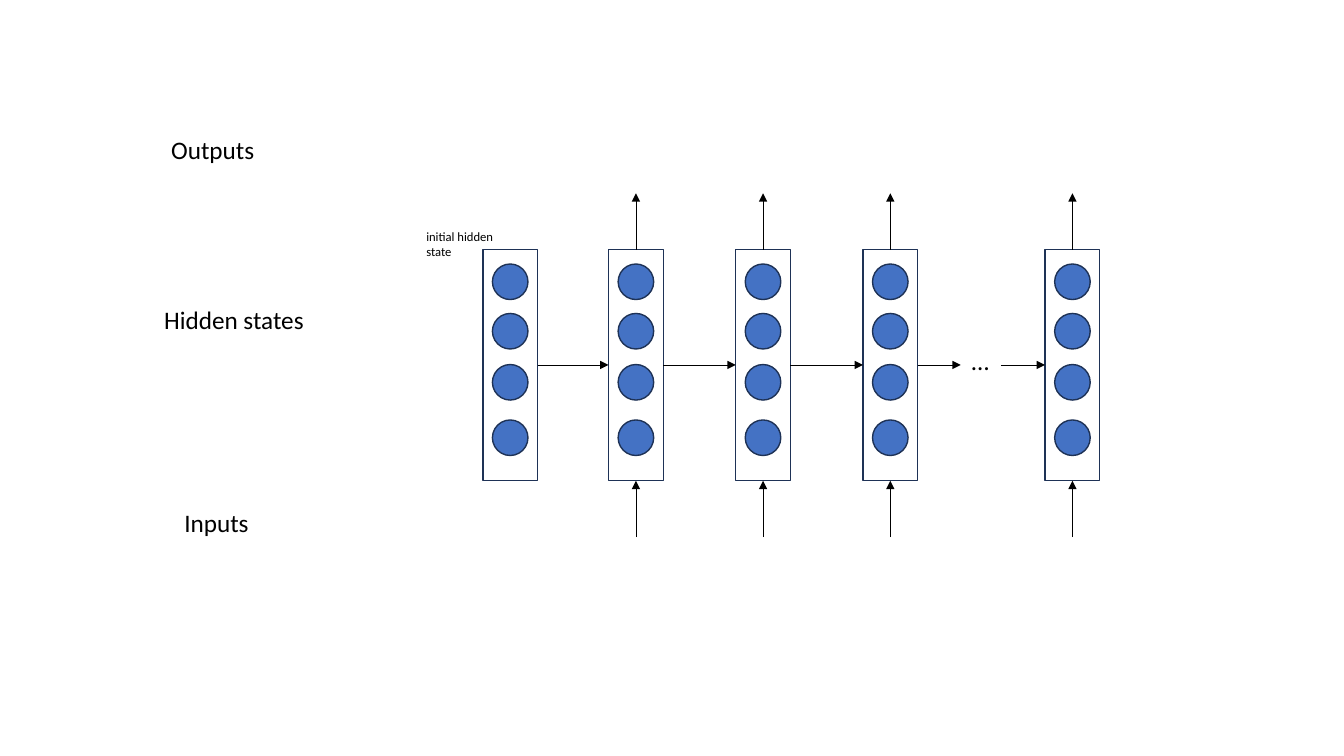
from pptx import Presentation
from pptx.dml.color import RGBColor
from pptx.enum import shapes, text
from pptx.oxml.ns import qn
from pptx.util import Pt
from lxml import etree

COLORS = {"unit": "4472C4", "outline": "1E3256", "ink": "000000"}
FONT = "Calibri"

# Layer geometry, in points
STATE_LEFTS = [344.9, 434.7, 525.5, 616.4, 746.5]
STATE_TOP, STATE_W, STATE_H = 178.4, 39.1, 165
UNIT_TOPS = [188.6, 223.9, 260.4, 300]
UNIT_SIZE = 25.4
ARROW_LEN = 40.3
FLOW_Y = 260.7
ELLIPSIS_LEFT, ELLIPSIS_RIGHT = 686.2, 715


def color(name):
    return RGBColor.from_string(COLORS[name])


def add_outlined(s, kind, left, top, width, height, fill=None):
    sp = s.shapes.add_shape(kind, Pt(left), Pt(top), Pt(width), Pt(height))
    sp.shadow.inherit = False
    if fill:
        sp.fill.solid()
        sp.fill.fore_color.rgb = color(fill)
    else:
        sp.fill.background()
    sp.line.color.rgb = color("outline")
    sp.line.width = Pt(1)


def add_state(s, left):
    add_outlined(s, shapes.MSO_SHAPE.RECTANGLE, left, STATE_TOP, STATE_W, STATE_H)
    unit_left = left + (STATE_W - UNIT_SIZE) / 2
    for top in UNIT_TOPS:
        add_outlined(s, shapes.MSO_SHAPE.OVAL, unit_left, top,
                     UNIT_SIZE, UNIT_SIZE, "unit")


def add_arrow(s, x1, y1, x2, y2):
    arrow = s.shapes.add_connector(shapes.MSO_CONNECTOR.STRAIGHT,
                                   Pt(x1), Pt(y1), Pt(x2), Pt(y2))
    arrow.line.color.rgb = color("ink")
    arrow.line.width = Pt(0.5)
    etree.SubElement(arrow.line._get_or_add_ln(), qn("a:tailEnd"), type="triangle")
    etree.SubElement(arrow._element.spPr, qn("a:effectLst"))


def add_label(s, lines, left, top, width, size=18, wrap=False):
    tf = s.shapes.add_textbox(Pt(left), Pt(top), Pt(width), Pt(29)).text_frame
    tf.word_wrap = wrap
    tf.auto_size = text.MSO_AUTO_SIZE.SHAPE_TO_FIT_TEXT
    tf.text = "\n".join(lines)
    for p in tf.paragraphs:
        p.font.name = FONT
        p.font.size = Pt(size)
        p.font.color.rgb = color("ink")


def main():
    prs = Presentation()
    prs.slide_width, prs.slide_height = Pt(960), Pt(540)
    s = prs.slides.add_slide(prs.slide_layouts[6])

    # Hidden states
    for left in STATE_LEFTS:
        add_state(s, left)

    # Input and output arrows, for all but the initial state
    bottom = STATE_TOP + STATE_H
    for left in STATE_LEFTS[1:]:
        center = left + STATE_W / 2
        add_arrow(s, center, bottom + ARROW_LEN, center, bottom)
        add_arrow(s, center, STATE_TOP, center, STATE_TOP - ARROW_LEN)

    # Arrows between states, with a break before the last one
    starts = [left + STATE_W for left in STATE_LEFTS[:-1]] + [ELLIPSIS_RIGHT]
    ends = STATE_LEFTS[1:-1] + [ELLIPSIS_LEFT, STATE_LEFTS[-1]]
    for start, end in zip(starts, ends):
        add_arrow(s, start, FLOW_Y, end, FLOW_Y)
    add_label(s, ["…"], 686.9, 243.4, 27.4)

    # Labels
    add_label(s, ["initial hidden", "state"], 297.4, 159.8, 90.7, size=9, wrap=True)
    add_label(s, ["Inputs"], 124.6, 358.6, 64.8)
    add_label(s, ["Hidden states"], 110.2, 213.8, 115.2)
    add_label(s, ["Outputs"], 115.2, 92.2, 74.2)

    prs.save("out.pptx")


if __name__ == "__main__":
    main()
